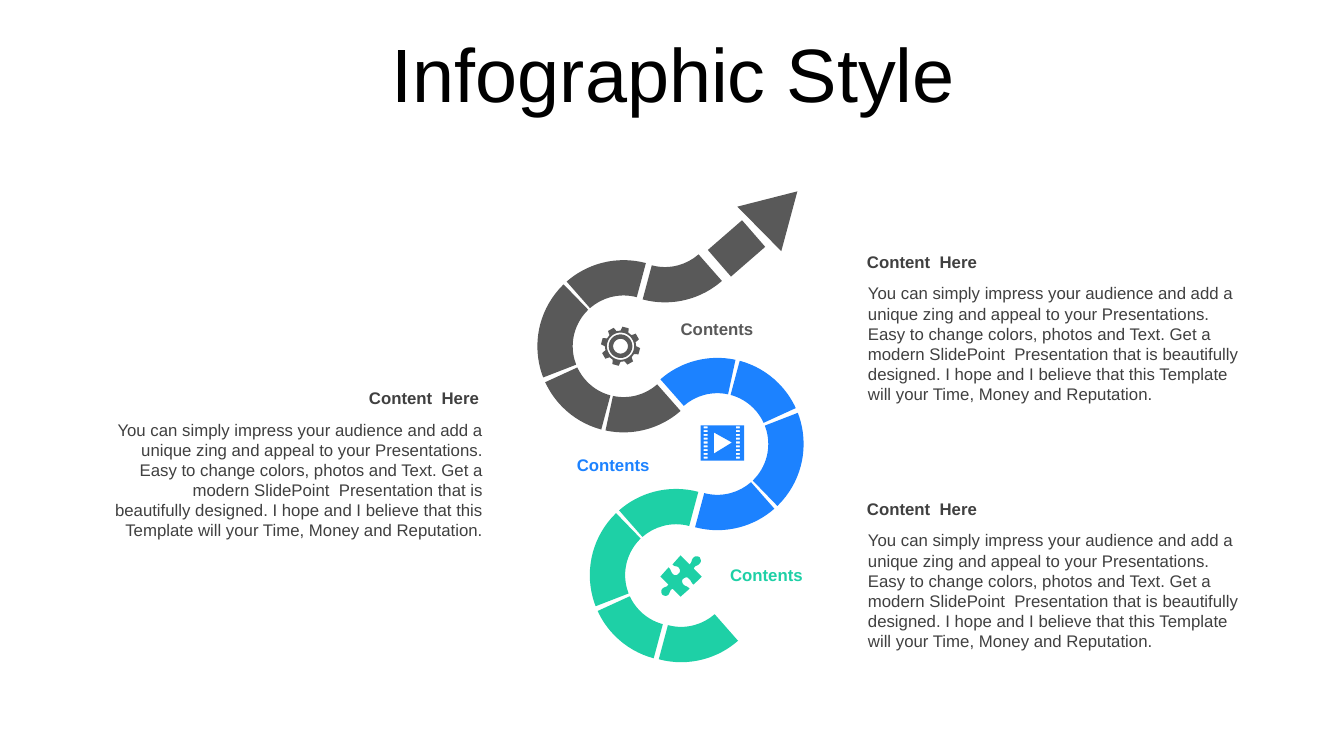
"""Build the infographic slide with a winding arrow road and three text blocks."""
from dataclasses import dataclass
from math import cos, radians, sin

from pptx import Presentation
from pptx.dml.color import RGBColor
from pptx.enum import shapes, text
from pptx.util import Inches, Pt


@dataclass(frozen=True)
class Theme:
    font: str = "Arial"
    title: str = "000000"
    body: str = "404040"
    gray: str = "595959"
    blue: str = "1C82FF"
    green: str = "1ED0A6"
    title_size: int = 54
    text_size: int = 12


THEME = Theme()
BODY = (
    "You can simply impress your audience and add a unique zing and appeal to your "
    "Presentations. Easy to change colors, photos and Text. Get a modern SlidePoint  "
    "Presentation that is beautifully designed. I hope and I believe that this "
    "Template will your Time, Money and Reputation."
)
ARC_SIZE = 1.71
BAND = 0.205
ENTRY_ARC, MIDDLE_ARC, EXIT_ARC = (180, 230.36), (233.82, 300.94), (303.68, 360)
JOINT_ARC = (303.68, 357.16)
PUZZLE_OUTLINE = [
    (6.94, 5.53), (6.95, 5.55, 6.96, 5.57, 6.94, 5.59), (6.92, 5.62, 6.9, 5.6, 6.88, 5.64),
    (6.96, 5.72), (6.88, 5.8), (6.85, 5.78, 6.86, 5.76, 6.83, 5.74),
    (6.82, 5.72, 6.79, 5.73, 6.78, 5.74), (6.76, 5.75, 6.76, 5.78, 6.78, 5.8),
    (6.8, 5.82, 6.81, 5.81, 6.84, 5.84), (6.75, 5.92), (6.67, 5.84),
    (6.64, 5.86, 6.65, 5.87, 6.63, 5.9), (6.61, 5.92, 6.58, 5.91, 6.57, 5.9),
    (6.56, 5.89, 6.55, 5.86, 6.57, 5.84), (6.59, 5.82, 6.61, 5.83, 6.63, 5.8),
    (6.55, 5.72), (6.63, 5.63), (6.66, 5.65, 6.65, 5.68, 6.68, 5.7),
    (6.69, 5.71, 6.72, 5.71, 6.73, 5.69), (6.75, 5.68, 6.75, 5.65, 6.73, 5.63),
    (6.71, 5.61, 6.7, 5.63, 6.67, 5.6), (6.75, 5.51), (6.84, 5.6),
    (6.87, 5.57, 6.85, 5.56, 6.88, 5.53), (6.9, 5.51, 6.93, 5.52, 6.94, 5.53),
]


def write_text(frame, content, *, color, size=THEME.text_size, bold=False,
               align=text.PP_ALIGN.LEFT, anchor=text.MSO_ANCHOR.TOP,
               fit=text.MSO_AUTO_SIZE.SHAPE_TO_FIT_TEXT, side=0.1, spacing=None):
    frame.word_wrap = True
    frame.auto_size = fit
    frame.vertical_anchor = anchor
    frame.margin_left = frame.margin_right = Inches(side)
    frame.margin_top = frame.margin_bottom = Inches(0.05)
    paragraph = frame.paragraphs[0]
    paragraph.alignment = align
    paragraph.line_spacing = spacing
    run = paragraph.add_run()
    run.text = content
    run.font.name = THEME.font
    run.font.size = Pt(size)
    run.font.bold = bold
    run.font.color.rgb = RGBColor.from_string(color)


def add_words(slide, box, content, **style):
    words = slide.shapes.add_textbox(*map(Inches, box))
    write_text(words.text_frame, content, **style)


def paint(figure, color):
    figure.shadow.inherit = False
    figure.fill.solid()
    figure.fill.fore_color.rgb = RGBColor.from_string(color)
    figure.line.fill.background()


def add_figure(slide, kind, box, color, rotation):
    figure = slide.shapes.add_shape(kind, *map(Inches, box))
    figure.rotation = rotation
    paint(figure, color)
    return figure


def add_arc(slide, left, top, color, rotation, angles):
    arc = add_figure(slide, shapes.MSO_SHAPE.BLOCK_ARC,
                     (left, top, ARC_SIZE, ARC_SIZE), color, rotation)
    start, end = angles
    arc.adjustments[0] = start * 0.6
    arc.adjustments[1] = end % 360 * 0.6
    arc.adjustments[2] = BAND


def add_loop(slide, left, top, color, rotation):
    for angles in (ENTRY_ARC, MIDDLE_ARC, EXIT_ARC):
        add_arc(slide, left, top, color, rotation, angles)


def add_outline(slide, contours, color):
    contours = [[(Inches(x), Inches(y)) for x, y in contour] for contour in contours]
    builder = slide.shapes.build_freeform(*contours[0][0])
    builder.add_line_segments(contours[0][1:], close=True)
    for contour in contours[1:]:
        builder.move_to(*contour[0])
        builder.add_line_segments(contour[1:], close=True)
    paint(builder.convert_to_shape(), color)


def trace(outline, steps=6):
    points = []
    for part in outline:
        if len(part) == 2:
            points.append(part)
            continue
        controls = [points[-1], part[:2], part[2:4], part[4:]]
        for step in range(1, steps + 1):
            t = step / steps
            weights = ((1 - t) ** 3, 3 * t * (1 - t) ** 2, 3 * t * t * (1 - t), t ** 3)
            points.append(tuple(sum(w * c[axis] for w, c in zip(weights, controls))
                                for axis in (0, 1)))
    return points


def gear_contours(x=6.155, y=3.435):
    def polar(radius, degrees):
        return x + radius * cos(radians(degrees)), y + radius * sin(radians(degrees))

    teeth = [polar(radius, 15 + 45 * tooth + turn) for tooth in range(8)
             for radius, turn in ((0.155, -15), (0.195, -9.5), (0.195, 9.5), (0.155, 15))]
    rings = [[polar(radius, way * degrees) for degrees in range(0, 360, 6)]
             for radius, way in ((0.135, -1), (0.117, 1), (0.073, -1))]
    return [teeth, *rings]


def film_contours():
    def hole(left, top):
        return [(left, top), (left, top + 0.02), (left + 0.04, top + 0.02), (left + 0.04, top)]

    frame = [(6.95, 4.22), (7.38, 4.22), (7.38, 4.57), (6.95, 4.57)]
    play = [(7.08, 4.29), (7.08, 4.5), (7.26, 4.39)]
    holes = [hole(left, 4.23 + 0.0375 * row) for left in (6.98, 7.3) for row in range(9)]
    return [frame, play, *holes]


def add_block(slide, left, top, width, align):
    add_words(slide, (left + 0.01, top + 0.31, width + 0.03, 1.31), BODY,
              color=THEME.body, align=align)
    add_words(slide, (left, top, width, 0.3), "Content  Here",
              color=THEME.body, bold=True, align=align)


def add_road(slide):
    add_arc(slide, 5.74, 1.29, THEME.gray, 105, EXIT_ARC)
    add_figure(slide, shapes.MSO_SHAPE.RECTANGLE, (7.13, 2.24, 0.35, 0.45), THEME.gray, 49)
    add_loop(slide, 5.85, 4.85, THEME.green, 285)
    add_loop(slide, 6.26, 3.55, THEME.blue, 105)
    add_arc(slide, 6.26, 3.55, THEME.blue, 285, JOINT_ARC)
    add_arc(slide, 5.9, 4.86, THEME.green, 105, EXIT_ARC)
    add_loop(slide, 5.33, 2.58, THEME.gray, 285)
    add_arc(slide, 5.33, 2.58, THEME.gray, 105, JOINT_ARC)
    add_figure(slide, shapes.MSO_SHAPE.ISOSCELES_TRIANGLE,
               (7.41, 1.82, 0.62, 0.53), THEME.gray, 45.4)


def main():
    deck = Presentation()
    deck.slide_width, deck.slide_height = Inches(13.33), Inches(7.5)
    slide = deck.slides.add_slide(deck.slide_layouts[5])
    title = slide.shapes.title
    title.left, title.top, title.width, title.height = map(Inches, (0.35, 0.31, 12.66, 0.92))
    write_text(title.text_frame, "Infographic Style", color=THEME.title,
               size=THEME.title_size, align=text.PP_ALIGN.CENTER,
               anchor=text.MSO_ANCHOR.MIDDLE, fit=text.MSO_AUTO_SIZE.NONE, spacing=0.9)
    for left, top, color in ((6.63, 3.11, THEME.gray), (5.6, 4.46, THEME.blue),
                             (7.12, 5.55, THEME.green)):
        add_words(slide, (left, top, 1.01, 0.3), "Contents ", color=color, bold=True,
                  align=text.PP_ALIGN.CENTER, side=0.12)
    add_block(slide, 8.5, 2.45, 3.89, text.PP_ALIGN.LEFT)
    add_block(slide, 1.02, 3.8, 3.83, text.PP_ALIGN.RIGHT)
    add_block(slide, 8.5, 4.9, 3.89, text.PP_ALIGN.LEFT)
    add_outline(slide, [trace(PUZZLE_OUTLINE)], THEME.green)
    add_outline(slide, film_contours(), THEME.blue)
    add_outline(slide, gear_contours(), THEME.gray)
    add_road(slide)
    deck.save("out.pptx")


if __name__ == "__main__":
    main()
